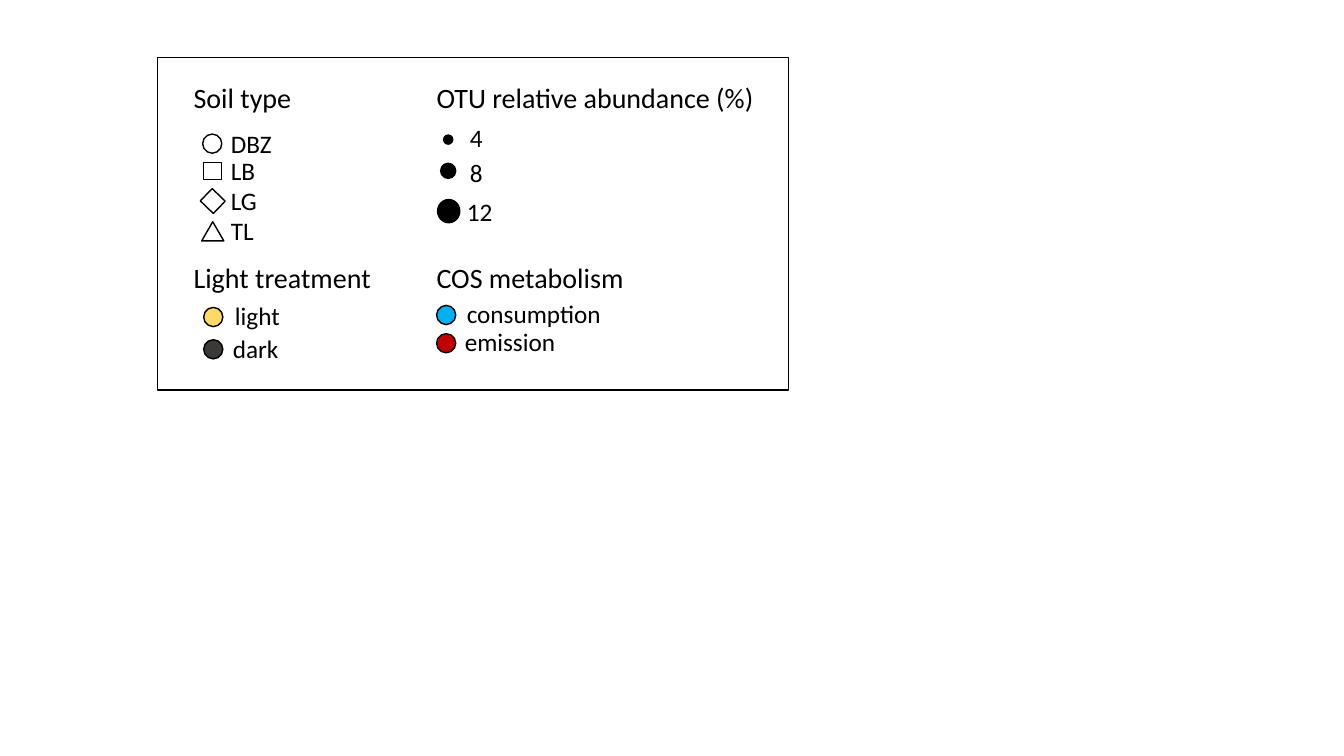
from pptx import Presentation
from pptx.dml.color import RGBColor
from pptx.enum.shapes import MSO_SHAPE
from pptx.enum.text import MSO_ANCHOR
from pptx.util import Pt

PX = 9144
SPARE = 6
BLACK, WHITE = "000000", "FFFFFF"
CIRCLE, SQUARE, TRIANGLE = MSO_SHAPE.OVAL, MSO_SHAPE.RECTANGLE, MSO_SHAPE.ISOSCELES_TRIANGLE

HEADINGS = [
    ("Soil type", 192, 80, 98),
    ("Light treatment", 192, 258, 178),
    ("OTU relative abundance (%)", 433, 80, 318),
    ("COS metabolism", 433, 258, 187),
]

ENTRIES = [
    ("DBZ", (229, 127, 41), CIRCLE, (201, 133, 19, 19), WHITE, 0),
    ("LB", (229, 154, 24), SQUARE, (202, 161, 18, 17), WHITE, 0),
    ("LG", (229, 184, 26), SQUARE, (202, 191, 18, 17), WHITE, 44),
    ("TL", (229, 214, 41), TRIANGLE, (200, 220, 22, 19), WHITE, 0),
    ("light", (233, 298, 45), CIRCLE, (202, 305, 19, 19), "FFD966", 0),
    ("dark", (231, 331, 46), CIRCLE, (202, 337, 19, 19), "3B3838", 0),
    ("4", (466, 121, 13), CIRCLE, (440, 134, 9, 9), BLACK, 0),
    ("8", (466, 156, 13), CIRCLE, (437, 162, 15, 15), BLACK, 0),
    ("12", (463, 195, 26), CIRCLE, (434, 198, 22, 23), BLACK, 0),
    ("consumption", (463, 296, 134), CIRCLE, (433, 303, 19, 19), "00B0F0", 0),
    ("emission", (461, 324, 91), CIRCLE, (433, 331, 19, 19), "C00000", 0),
]


def px(*lengths):
    return [n * PX for n in lengths]


def rgb(color):
    return RGBColor.from_string(color)


def add_text(s, text, x, y, w, h, size):
    tf = s.shapes.add_textbox(*px(x, y, w + SPARE, h)).text_frame
    tf.margin_left = tf.margin_right = tf.margin_top = tf.margin_bottom = 0
    tf.word_wrap = True
    tf.vertical_anchor = MSO_ANCHOR.TOP
    p = tf.paragraphs[0]
    p.text = text
    p.font.name = "Calibri"
    p.font.size = Pt(size)
    p.font.color.rgb = rgb(BLACK)


def add_outlined(s, kind, box, fill=None, rotation=0):
    sp = s.shapes.add_shape(kind, *px(*box))
    sp.shadow.inherit = False
    sp.rotation = rotation
    if fill:
        sp.fill.solid()
        sp.fill.fore_color.rgb = rgb(fill)
    else:
        sp.fill.background()
    sp.line.color.rgb = rgb(BLACK)
    sp.line.width = Pt(1)


def main():
    prs = Presentation()
    prs.slide_width, prs.slide_height = px(1333, 750)
    s = prs.slides.add_slide(prs.slide_layouts[6])
    add_outlined(s, SQUARE, (156, 57, 626, 330))
    for text, x, y, w in HEADINGS:
        add_text(s, text, x, y, w, 34, 20)
    for label, (x, y, w), kind, box, fill, rotation in ENTRIES:
        add_outlined(s, kind, box, fill, rotation)
        add_text(s, label, x, y, w, 30, 18)
    prs.save("out.pptx")


if __name__ == "__main__":
    main()
